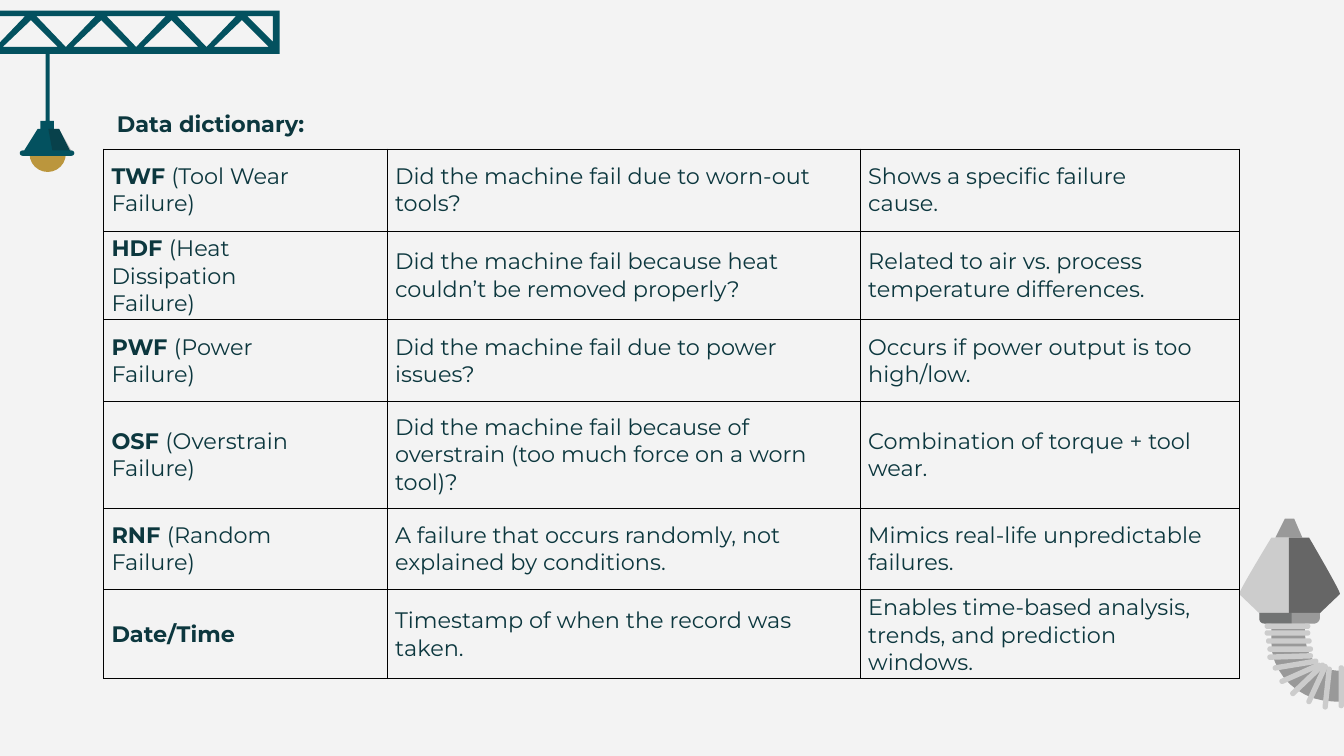
import math
from dataclasses import dataclass
from typing import Optional

from lxml import etree
from pptx import Presentation
from pptx import util as u
from pptx.dml.color import RGBColor
from pptx.enum import shapes, text
from pptx.oxml import ns

PAPER = RGBColor(0xF3, 0xF3, 0xF3)
INK = RGBColor(0x0C, 0x37, 0x3E)
TEAL = RGBColor(0x03, 0x51, 0x5F)
AMBER = RGBColor(0xBB, 0x96, 0x3D)
SHADE = RGBColor(0x16, 0x1D, 0x1E)
LIGHT = RGBColor(0xCC, 0xCC, 0xCC)
MIDDLE = RGBColor(0x99, 0x99, 0x99)
DARK = RGBColor(0x66, 0x66, 0x66)
BORDER = RGBColor(0x00, 0x00, 0x00)
FONT = "Montserrat"
CURVE_STEPS = 10
SLIDE_WIDTH = 10
SLIDE_HEIGHT = SLIDE_WIDTH * 9 / 16


@dataclass(frozen=True)
class Outline:
    color: RGBColor
    contours: list
    alpha: Optional[int] = None


@dataclass(frozen=True)
class Rib:
    x1: float
    y1: float
    x2: float
    y2: float


@dataclass(frozen=True)
class Entry:
    code: str
    meaning: str
    question: str
    note: str


LAMP = [
    Outline(TEAL, [[
        (0.53, 1.12), (0.52, 1.12), (0.44, 0.96), (0.4, 0.96), (0.4, 0.9), (0.37, 0.9),
        (0.37, 0.4), (0.34, 0.4), (0.34, 0.9), (0.3, 0.9), (0.3, 0.96), (0.28, 0.96),
        (0.18, 1.12), (0.17, 1.12), (0.14, 1.12, 0.14, 1.16, 0.17, 1.16), (0.53, 1.16),
        (0.56, 1.16, 0.56, 1.12, 0.53, 1.12)]]),
    Outline(SHADE, [[(0.36, 0.96), (0.44, 0.96), (0.53, 1.12), (0.39, 1.12)]], 30),
]

NOZZLE = [
    Outline(MIDDLE, [[(9.49, 4), (9.69, 4), (9.63, 3.86), (9.56, 3.86)]]),
    Outline(LIGHT, [[(9.43, 4.62), (9.43, 4.62, 9.23, 4.43, 9.22, 4.42),
                     (9.21, 4.41, 9.46, 4, 9.46, 4), (9.6, 4), (9.6, 4.6)]]),
    Outline(DARK, [[(9.76, 4.62), (9.76, 4.62, 9.96, 4.43, 9.97, 4.42),
                    (9.98, 4.41, 9.74, 4, 9.74, 4), (9.59, 4), (9.59, 4.6)]]),
    Outline(MIDDLE, [[(10, 5.22), (9.93, 5.22), (9.67, 5.22, 9.46, 5.02, 9.46, 4.78),
                      (9.46, 4.64), (9.71, 4.64), (9.71, 4.7),
                      (9.71, 4.92, 9.83, 5, 10, 4.99)]]),
    Outline(MIDDLE, [[(9.82, 4.56), (9.82, 4.6), (9.82, 4.62, 9.8, 4.64, 9.78, 4.64),
                      (9.41, 4.64), (9.38, 4.64, 9.37, 4.62, 9.37, 4.6), (9.37, 4.56)]]),
    Outline(SHADE, [[(9.61, 4.64), (9.41, 4.64), (9.38, 4.64, 9.37, 4.62, 9.37, 4.6),
                     (9.37, 4.56), (9.61, 4.56)]], 30),
]

RIBS = [
    Rib(9.43, 4.66, 9.73, 4.66), Rib(9.43, 4.71, 9.73, 4.71),
    Rib(9.44, 4.77, 9.74, 4.77), Rib(9.45, 4.83, 9.75, 4.83),
    Rib(9.45, 4.89, 9.75, 4.88), Rib(9.49, 4.97, 9.79, 4.92),
    Rib(9.54, 5.07, 9.81, 4.95), Rib(9.62, 5.16, 9.84, 4.95),
    Rib(9.74, 5.22, 9.86, 4.96), Rib(9.86, 5.26, 9.89, 4.98),
    Rib(9.98, 5.25, 9.98, 4.97),
]

ENTRIES = [
    Entry("TWF ", "(Tool Wear\nFailure)", "Did the machine fail due to worn-out\ntools?",
          "Shows a specific failure\ncause."),
    Entry("HDF ", "(Heat\nDissipation\nFailure)",
          "Did the machine fail because heat\ncouldn’t be removed properly?",
          "Related to air vs. process\ntemperature differences."),
    Entry("PWF ", "(Power\nFailure)", "Did the machine fail due to power\nissues?",
          "Occurs if power output is too\nhigh/low."),
    Entry("OSF ", "(Overstrain\nFailure)",
          "Did the machine fail because of\noverstrain (too much force on a worn\ntool)?",
          "Combination of torque + tool\nwear."),
    Entry("RNF ", "(Random\nFailure)",
          "A failure that occurs randomly, not\nexplained by conditions.",
          "Mimics real-life unpredictable\nfailures."),
    Entry("Date/Time", "", "Timestamp of when the record was\ntaken.",
          "Enables time-based analysis,\ntrends, and prediction\nwindows."),
]
COLUMN_WIDTHS = [2.11, 3.52, 2.82]
ROW_HEIGHTS = [0.61, 0.61, 0.61, 0.79, 0.61, 0.61]


def flatten(contour: list) -> list:
    points = [contour[0]]
    for step in contour[1:]:
        if len(step) == 2:
            points.append(step)
            continue
        controls = [points[-1], step[:2], step[2:4], step[4:]]
        for i in range(1, CURVE_STEPS + 1):
            t = i / CURVE_STEPS
            weights = [math.comb(3, k) * t**k * (1 - t)**(3 - k) for k in range(4)]
            points.append(tuple(sum(w * c[axis] for w, c in zip(weights, controls))
                                for axis in (0, 1)))
    return points


def truss() -> Outline:
    top, bottom, pitch = 0.12, 0.35, 3.14 / 6
    contours = [
        [(-1.63, 0.08), (2.08, 0.08), (2.08, 0.4), (-1.63, 0.4)],
        [(2.03, 0.31), (1.84, top), (2.03, top)],
        [(-1.38, top), (-1.58, 0.32), (-1.58, top)],
    ]
    for i in range(7):
        apex = -1.34 + i * pitch
        contours.append([(apex, 0.15), (apex + 0.2, bottom), (apex - 0.21, bottom)])
        if i < 6:
            contours.append([(apex + 0.04, top), (apex + 0.48, top), (apex + 0.26, bottom)])
    return Outline(TEAL, contours)


def rib_outline(rib: Rib, radius: float = 0.02) -> Outline:
    heading = math.atan2(rib.y2 - rib.y1, rib.x2 - rib.x1)
    points = []
    for x, y, start in ((rib.x2, rib.y2, heading - math.pi / 2),
                        (rib.x1, rib.y1, heading + math.pi / 2)):
        for i in range(CURVE_STEPS + 1):
            angle = start + math.pi * i / CURVE_STEPS
            points.append((x + radius * math.cos(angle), y + radius * math.sin(angle)))
    return Outline(LIGHT, [points])


def paint(shape, color: RGBColor, alpha: Optional[int] = None) -> None:
    shape.shadow.inherit = False
    shape.fill.solid()
    shape.fill.fore_color.rgb = color
    shape.line.fill.background()
    if alpha is not None:
        tint = shape.fill._xPr.find(".//" + ns.qn("a:srgbClr"))
        etree.SubElement(tint, ns.qn("a:alpha"), val=str(alpha * 1000))


def draw_outline(group, outline: Outline) -> None:
    builder = None
    for contour in outline.contours:
        points = [(u.Inches(x), u.Inches(y)) for x, y in flatten(contour)]
        if builder is None:
            builder = group.shapes.build_freeform(*points[0])
        else:
            builder.move_to(*points[0])
        builder.add_line_segments(points[1:], close=True)
    paint(builder.convert_to_shape(), outline.color, outline.alpha)


def add_text(para, words: str, bold: bool = False) -> None:
    for i, line in enumerate(words.split("\n")):
        if i:
            para.add_line_break()
        span = para.add_run()
        span.text = line
        span.font.name = FONT
        span.font.size = u.Pt(12)
        span.font.bold = bold
        span.font.color.rgb = INK


def format_cell(cell) -> None:
    cell.vertical_anchor = text.MSO_ANCHOR.MIDDLE
    cell.margin_left = cell.margin_right = u.Inches(0.06)
    cell.margin_top = cell.margin_bottom = u.Inches(0.03)
    cell.fill.background()
    properties = cell._tc.get_or_add_tcPr()
    for i, side in enumerate(("lnL", "lnR", "lnT", "lnB")):
        edge = etree.Element(ns.qn("a:" + side), w=str(u.Pt(0.5)))
        fill = etree.SubElement(edge, ns.qn("a:solidFill"))
        etree.SubElement(fill, ns.qn("a:srgbClr"), val=str(BORDER))
        properties.insert(i, edge)


def draw_title(page) -> None:
    title = page.shapes.title
    title.left, title.top = u.Inches(0.77), u.Inches(0.77)
    title.width, title.height = u.Inches(2.26), u.Inches(0.3)
    frame = title.text_frame
    frame.word_wrap = True
    frame.auto_size = text.MSO_AUTO_SIZE.SHAPE_TO_FIT_TEXT
    frame.vertical_anchor = text.MSO_ANCHOR.MIDDLE
    para = frame.paragraphs[0]
    para.alignment = text.PP_ALIGN.LEFT
    add_text(para, "Data dictionary:", bold=True)


def draw_dictionary(page) -> None:
    table = page.shapes.add_table(
        len(ENTRIES), len(COLUMN_WIDTHS), u.Inches(0.77), u.Inches(1.11),
        u.Inches(sum(COLUMN_WIDTHS)), u.Inches(sum(ROW_HEIGHTS))).table
    table.first_row = table.horz_banding = False
    for column, width in zip(table.columns, COLUMN_WIDTHS):
        column.width = u.Inches(width)
    for row, height, entry in zip(table.rows, ROW_HEIGHTS, ENTRIES):
        row.height = u.Inches(height)
        term, question, note = (cell.text_frame.paragraphs[0] for cell in row.cells)
        add_text(term, entry.code, bold=True)
        if entry.meaning:
            add_text(term, entry.meaning)
        add_text(question, entry.question)
        add_text(note, entry.note)
        for cell in row.cells:
            format_cell(cell)


def main() -> None:
    deck = Presentation()
    deck.slide_width, deck.slide_height = u.Inches(SLIDE_WIDTH), u.Inches(SLIDE_HEIGHT)
    page = deck.slides.add_slide(deck.slide_layouts[5])
    page.background.fill.solid()
    page.background.fill.fore_color.rgb = PAPER

    crane = page.shapes.add_group_shape()
    bulb = crane.shapes.add_shape(shapes.MSO_SHAPE.OVAL, u.Inches(0.22), u.Inches(1.01),
                                  u.Inches(0.27), u.Inches(0.27))
    paint(bulb, AMBER)
    for outline in LAMP + [truss()]:
        draw_outline(crane, outline)

    hose = page.shapes.add_group_shape()
    for outline in NOZZLE + [rib_outline(rib) for rib in RIBS]:
        draw_outline(hose, outline)

    draw_title(page)
    draw_dictionary(page)
    deck.save("out.pptx")


if __name__ == "__main__":
    main()
